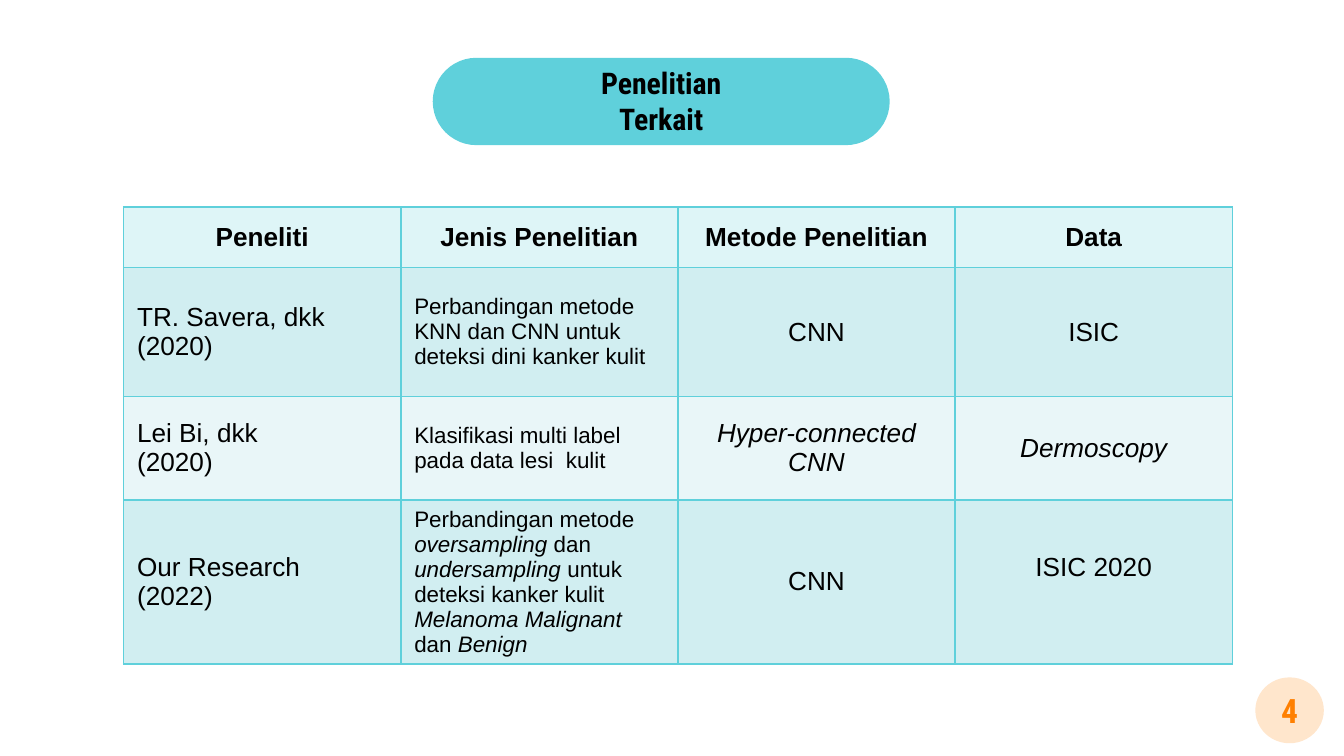
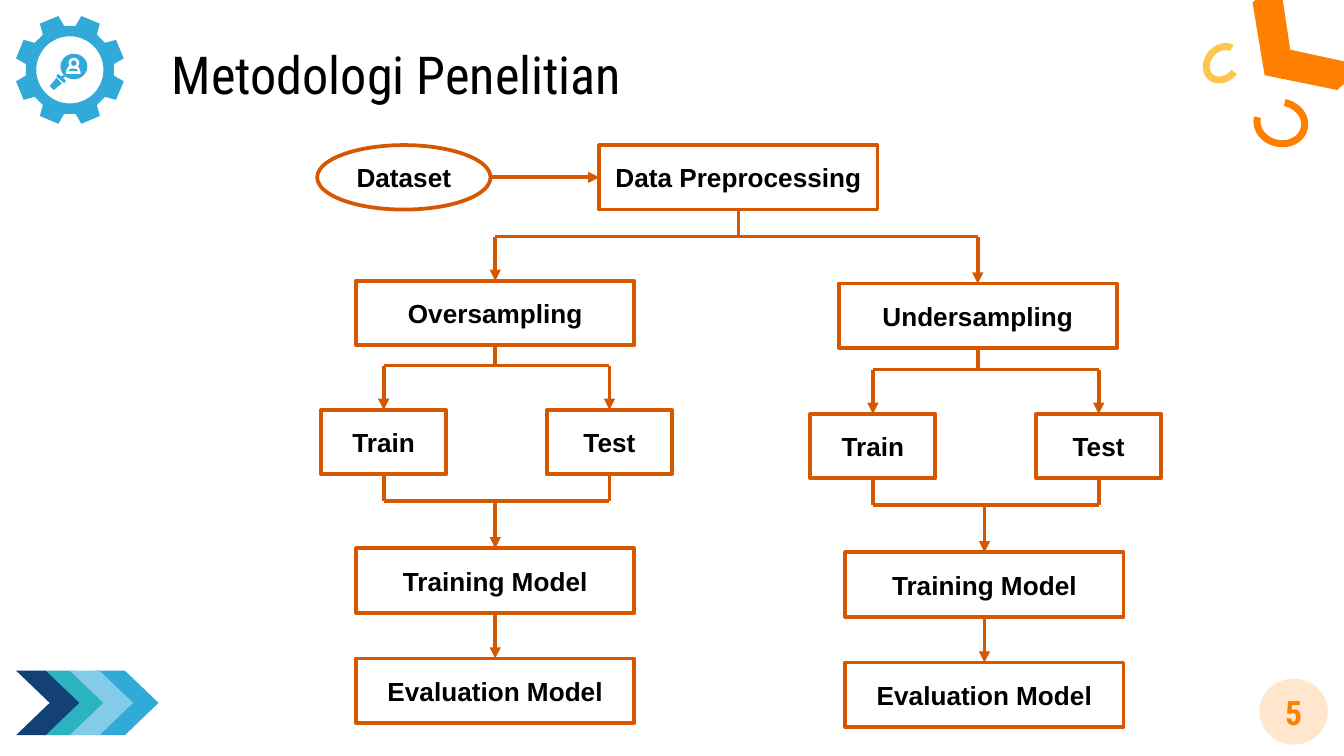
from math import cos, radians, sin

from lxml.etree import SubElement
from pptx import Presentation
from pptx.dml.color import RGBColor
from pptx.enum.shapes import MSO_CONNECTOR, MSO_SHAPE
from pptx.enum.text import MSO_ANCHOR, MSO_AUTO_SIZE, PP_ALIGN
from pptx.oxml.ns import qn
from pptx.util import Inches, Pt

BLACK, WHITE = "000000", "FFFFFF"
CYAN, BLUE, ORANGE, RUST = "5FD0DB", "32AAD9", "FF8001", "D55800"
PEACH, YELLOW = "FFE6CC", "FFC64E"
HEADING_FONT, BODY_FONT = "Roboto Condensed", "Arial"
TOP, BOTTOM = 0, 2

TABLE_WIDTH = 8.25
ROW_HEIGHTS = [0.45, 0.96, 0.77, 1.01]
ROW_FILLS = ["DEF5F7", "D1EEF1", "E9F6F8", "D1EEF1"]
# Asterisks enclose italic words.
STUDIES = [
    ["Peneliti", "Jenis Penelitian", "Metode Penelitian", "Data"],
    ["TR. Savera, dkk\n(2020)",
     "Perbandingan metode KNN dan CNN untuk deteksi dini kanker kulit",
     "CNN", "ISIC"],
    ["Lei Bi, dkk\n(2020)", "Klasifikasi multi label pada data lesi  kulit",
     "*Hyper-connected CNN*", "*Dermoscopy*"],
    ["Our Research\n(2022)",
     "Perbandingan metode *oversampling* dan *undersampling* untuk deteksi "
     "kanker kulit *Melanoma Malignant *dan *Benign*",
     "CNN", "ISIC 2020"],
]
CHEVRONS = [(0.33, "2BB3C0"), (0.12, "134075"), (0.71, BLUE), (0.52, "83CBE8")]


def rgb(color):
    return RGBColor.from_string(color)


def format_font(font, size, name, color=BLACK, bold=False):
    font.size, font.name, font.bold = Pt(size), name, bold
    font.color.rgb = rgb(color)


def set_insets(frame, horizontal, vertical):
    frame.margin_left = frame.margin_right = Inches(horizontal)
    frame.margin_top = frame.margin_bottom = Inches(vertical)


def paint(shape, fill, line=None, width=2):
    shape.shadow.inherit = False
    shape.fill.solid()
    shape.fill.fore_color.rgb = rgb(fill)
    if line:
        shape.line.color.rgb = rgb(line)
        shape.line.width = Pt(width)
    else:
        shape.line.fill.background()


def add_preset(slide, kind, box, fill, line=None, width=2):
    shape = slide.shapes.add_shape(kind, *map(Inches, box))
    paint(shape, fill, line, width)
    return shape


def add_polygon(slide, fill, outline, *holes):
    """Draw a closed outline, given in inches, with optional holes."""
    first, *others = [[(Inches(x), Inches(y)) for x, y in contour]
                      for contour in (outline, *holes)]
    builder = slide.shapes.build_freeform(*first[0])
    builder.add_line_segments(first[1:])
    for contour in others:
        builder.move_to(*contour[0])
        builder.add_line_segments(contour[1:])
    paint(builder.convert_to_shape(), fill)


def polar(center, radius, angle):
    return (center[0] + radius * cos(radians(angle)),
            center[1] + radius * sin(radians(angle)))


def set_label(shape, text, size, name, color=BLACK, insets=(0.1, 0.05)):
    """Write bold text in the middle of a shape."""
    frame = shape.text_frame
    frame.text = text
    frame.word_wrap = True
    frame.vertical_anchor = MSO_ANCHOR.MIDDLE
    set_insets(frame, *insets)
    paragraph = frame.paragraphs[0]
    paragraph.alignment = PP_ALIGN.CENTER
    format_font(paragraph.runs[0].font, size, name, color, True)


def set_title(slide, text, box, size, bold, insets):
    title = slide.shapes.title
    title.left, title.top, title.width, title.height = map(Inches, box)
    set_label(title, text, size, HEADING_FONT, insets=insets)
    title.text_frame.paragraphs[0].runs[0].font.bold = bold
    title.text_frame.auto_size = MSO_AUTO_SIZE.NONE
    slide.shapes._spTree.append(title._element)  # bring to front


def add_page_number(slide, number, left, top):
    badge = add_preset(slide, MSO_SHAPE.OVAL, (left, top, 0.51, 0.49), PEACH)
    set_label(badge, str(number), 18, HEADING_FONT, ORANGE, (0, 0))


def set_borders(cell, color, width):
    properties = cell._tc.get_or_add_tcPr()
    for position, side in enumerate(("lnL", "lnR", "lnT", "lnB")):
        line = properties.makeelement(qn(f"a:{side}"), w=str(Pt(width)))
        fill = SubElement(line, qn("a:solidFill"))
        SubElement(fill, qn("a:srgbClr"), val=color)
        properties.insert(position, line)


def fill_cell(cell, text, fill, size, bold, alignment):
    cell.fill.solid()
    cell.fill.fore_color.rgb = rgb(fill)
    cell.vertical_anchor = MSO_ANCHOR.MIDDLE
    set_insets(cell, 0.1, 0.05)
    set_borders(cell, CYAN, 1)
    frame = cell.text_frame
    for index, line in enumerate(text.split("\n")):
        paragraph = frame.add_paragraph() if index else frame.paragraphs[0]
        paragraph.alignment = alignment
        for part, words in enumerate(line.split("*")):
            if words:
                run = paragraph.add_run()
                run.text = words
                format_font(run.font, size, BODY_FONT, bold=bold)
                run.font.italic = part % 2 == 1


def add_study_table(slide):
    columns = len(STUDIES[0])
    table = slide.shapes.add_table(
        len(STUDIES), columns, Inches(0.92), Inches(1.54),
        Inches(TABLE_WIDTH), Inches(sum(ROW_HEIGHTS))).table
    for column in table.columns:
        column.width = Inches(TABLE_WIDTH / columns)
    for r, study in enumerate(STUDIES):
        table.rows[r].height = Inches(ROW_HEIGHTS[r])
        for c, text in enumerate(study):
            header = r == 0
            alignment = PP_ALIGN.CENTER if header or c > 1 else PP_ALIGN.LEFT
            size = 12 if c == 1 and not header else 14
            fill_cell(table.cell(r, c), text, ROW_FILLS[r], size, header, alignment)
    table.cell(3, 3).margin_bottom = Inches(0.27)  # this text sits higher


def add_step(slide, text, left, top, width=2.07, kind=MSO_SHAPE.RECTANGLE):
    step = add_preset(slide, kind, (left, top, width, 0.48), WHITE, RUST)
    set_label(step, text, 14, BODY_FONT)
    return step


def center_x(shape):
    return shape.left + shape.width // 2


def add_link(slide, start, end, arrow=False):
    """Draw a line between two (x, y) points in EMU."""
    link = slide.shapes.add_connector(MSO_CONNECTOR.STRAIGHT, *start, *end)
    link.line.color.rgb = rgb(RUST)
    link.line.width = Pt(2)
    if arrow:
        SubElement(link.line._get_or_add_ln(), qn("a:tailEnd"), type="triangle")
    SubElement(link._element.spPr, qn("a:effectLst"))
    return link


def add_arrow_down(slide, upper, lower):
    link = add_link(slide, (center_x(upper), upper.top + upper.height),
                    (center_x(lower), lower.top), True)
    link.begin_connect(upper, BOTTOM)
    link.end_connect(lower, TOP)


def add_rail(slide, uppers, lowers, y):
    """Join every upper step to every lower step through a rail at height y."""
    y = Inches(y)
    centers = [center_x(step) for step in uppers + lowers]
    add_link(slide, (min(centers), y), (max(centers), y))
    for step in uppers:
        x = center_x(step)
        stem = add_link(slide, (x, step.top + step.height), (x, y))
        stem.begin_connect(step, BOTTOM)
    for step in lowers:
        x = center_x(step)
        drop = add_link(slide, (x, y), (x, step.top), True)
        drop.end_connect(step, TOP)


def add_branch(slide, sampling, dx, dy):
    """Draw the steps below a sampling step, moved by dx and dy."""
    train = add_step(slide, "Train", 2.39 + dx, 3.05 + dy, 0.93)
    test = add_step(slide, "Test", 4.07 + dx, 3.05 + dy, 0.93)
    training = add_step(slide, "Training Model", 2.65 + dx, 4.08 + dy)
    evaluation = add_step(slide, "Evaluation Model", 2.65 + dx, 4.9 + dy)
    add_rail(slide, [sampling], [train, test], 2.72 + dy)
    add_rail(slide, [train, test], [training], 3.73 + dy)
    add_arrow_down(slide, training, evaluation)


def add_flowchart(slide):
    dataset = add_step(slide, "Dataset", 2.36, 1.08, 1.29, MSO_SHAPE.OVAL)
    preprocessing = add_step(slide, "Data Preprocessing", 4.46, 1.08)
    middle = dataset.top + dataset.height // 2
    link = add_link(slide, (dataset.left + dataset.width, middle),
                    (preprocessing.left, middle), True)
    link.end_connect(preprocessing, 1)
    oversampling = add_step(slide, "Oversampling", 2.65, 2.09)
    undersampling = add_step(slide, "Undersampling", 6.24, 2.11)
    add_rail(slide, [preprocessing], [oversampling, undersampling], 1.76)
    add_branch(slide, oversampling, 0, 0)
    add_branch(slide, undersampling, 3.64, 0.03)


def add_person(slide, color, head, shoulders):
    add_preset(slide, MSO_SHAPE.OVAL, head, color)
    left, top, width, height = shoulders
    dome = [(left + width / 2 * (1 - cos(radians(a))),
             top + height * (1 - sin(radians(a)))) for a in range(0, 181, 15)]
    add_polygon(slide, color, dome)


def add_gear_icon(slide):
    center = (0.52, 0.52)
    corners = ((-15, 0.33), (-10.5, 0.41), (10.5, 0.41), (15, 0.33))
    teeth = [polar(center, radius, 22.5 + 45 * tooth + angle)
             for tooth in range(8) for angle, radius in corners]
    hole = [polar(center, 0.25, angle) for angle in range(360, 0, -6)]
    add_polygon(slide, BLUE, teeth, hole)
    add_preset(slide, MSO_SHAPE.OVAL, (0.45, 0.4, 0.2, 0.19), BLUE)
    add_person(slide, WHITE, (0.51, 0.43, 0.08, 0.08), (0.49, 0.48, 0.11, 0.07))
    add_person(slide, BLUE, (0.53, 0.45, 0.04, 0.04), (0.51, 0.51, 0.07, 0.02))
    add_polygon(slide, BLUE, [(0.47, 0.56), (0.46, 0.57), (0.43, 0.55), (0.42, 0.57),
                              (0.48, 0.62), (0.49, 0.6), (0.47, 0.58), (0.49, 0.57)])
    add_polygon(slide, BLUE, [(0.42, 0.58), (0.37, 0.64), (0.4, 0.67), (0.46, 0.62)])


def add_arc(slide, box, rotation, adjustments, color):
    arc = add_preset(slide, MSO_SHAPE.BLOCK_ARC, box, color, color, 0.75)
    arc.rotation = rotation
    arc._element.spPr.get_or_add_xfrm().set("flipH", "1")
    for index, value in enumerate(adjustments):
        arc.adjustments[index] = value


def add_corner_ornaments(slide):
    add_polygon(slide, ORANGE, [(10.15, 0.49), (9.6, 0.37), (9.52, -0.17),
                                (9.32, 0.02), (9.41, 0.56), (9.95, 0.67)])
    add_arc(slide, (8.94, 0.34, 0.31, 0.26), 128.7, (5.29, 161.93, 0.16), YELLOW)
    add_arc(slide, (9.33, 0.74, 0.4, 0.35), 12.4, (0.15, 161.95, 0.12), ORANGE)


def add_chevrons(slide):
    steps = ((0, 4.99), (0.25, 5.23), (0, 5.47), (0.22, 5.47), (0.47, 5.23), (0.22, 4.99))
    for left, color in CHEVRONS:
        add_polygon(slide, color, [(left + x, y) for x, y in steps])


def build_related_work(slide):
    pill = add_preset(slide, MSO_SHAPE.ROUNDED_RECTANGLE, (3.22, 0.43, 3.4, 0.65), CYAN)
    pill.adjustments[0] = 0.5
    set_title(slide, "Penelitian Terkait", (3.94, 0.57, 1.96, 0.36), 16, True, (0.22, 0))
    add_study_table(slide)
    add_page_number(slide, 4, 9.34, 5.04)


def build_methodology(slide):
    add_flowchart(slide)
    set_title(slide, "Metodologi Penelitian", (0.4, 0.28, 5.1, 0.53), 28, False, (0.1, 0.1))
    add_gear_icon(slide)
    add_corner_ornaments(slide)
    add_chevrons(slide)
    add_page_number(slide, 5, 9.37, 5.05)


def main():
    presentation = Presentation()
    presentation.slide_width = Inches(10)
    presentation.slide_height = Inches(10 * 9 / 16)
    for build in (build_related_work, build_methodology):
        build(presentation.slides.add_slide(presentation.slide_layouts[5]))
    presentation.save("out.pptx")


if __name__ == "__main__":
    main()
